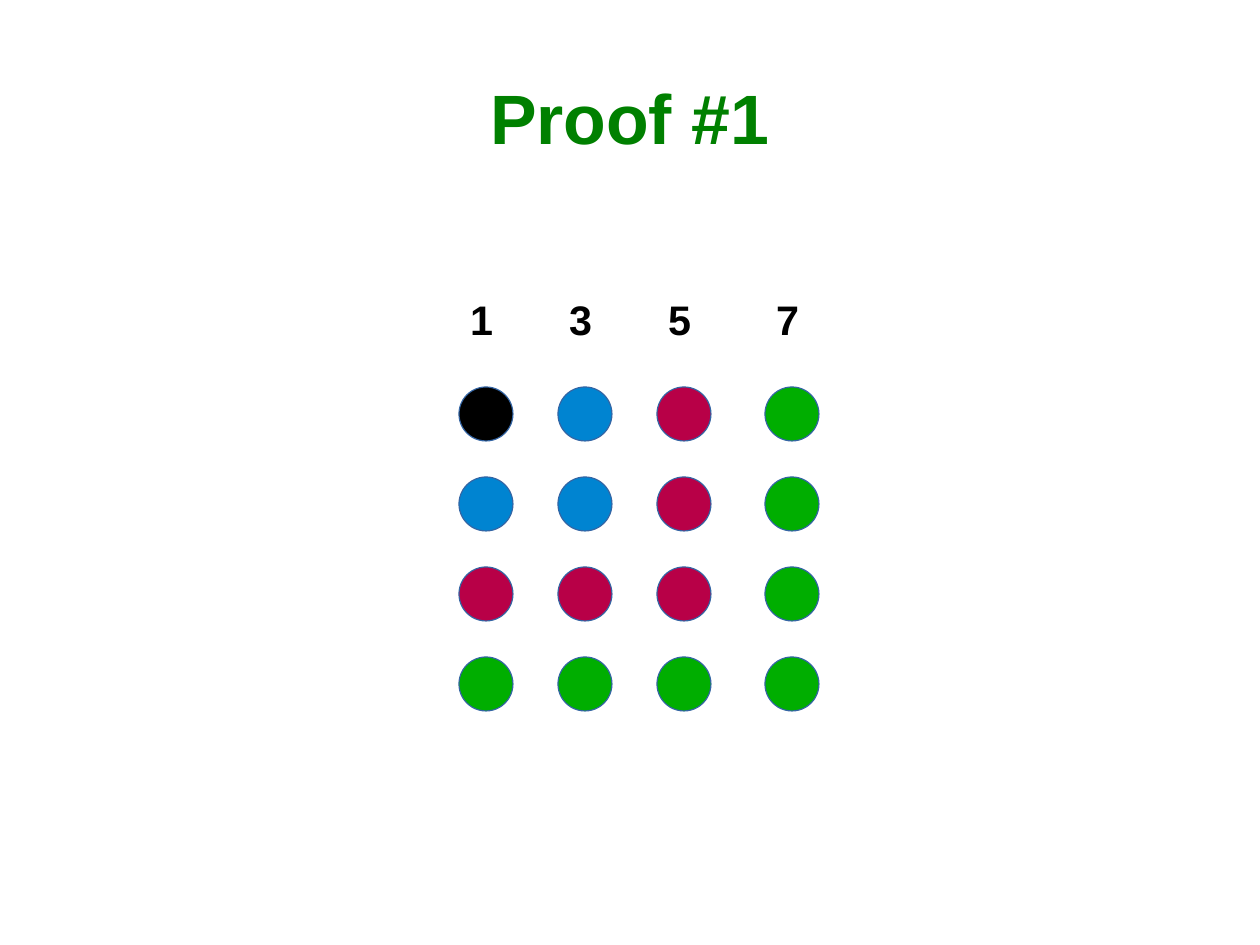
from dataclasses import dataclass

from pptx import Presentation
from pptx.dml.color import RGBColor
from pptx.enum.shapes import MSO_SHAPE
from pptx.enum.text import MSO_ANCHOR, PP_ALIGN
from pptx.util import Cm, Pt


@dataclass(frozen=True)
class Theme:
    font: str = "Arial"
    title: str = "008000"
    label: str = "000000"
    edge: str = "3465A4"
    layers: tuple = ("000000", "0084D1", "B80047", "00AE00")
    title_size: int = 44
    label_size: int = 26


THEME = Theme()
COLUMNS = (10.2, 12.4, 14.6, 17)
TOP, PITCH, DOT = 8.6, 2, 1.2


def add_text(slide, box, text, size, color, pad=(0, 0),
             align=PP_ALIGN.LEFT, anchor=MSO_ANCHOR.TOP):
    frame = slide.shapes.add_textbox(*map(Cm, box)).text_frame
    frame.word_wrap = True
    frame.vertical_anchor = anchor
    frame.margin_left = frame.margin_right = Cm(pad[0])
    frame.margin_top = frame.margin_bottom = Cm(pad[1])
    line = frame.paragraphs[0]
    line.alignment = align
    run = line.add_run()
    run.text = text
    run.font.name = THEME.font
    run.font.size = Pt(size)
    run.font.bold = True
    run.font.color.rgb = RGBColor.from_string(color)


def add_dot(slide, left, top, color):
    dot = slide.shapes.add_shape(
        MSO_SHAPE.OVAL, Cm(left), Cm(top), Cm(DOT), Cm(DOT))
    dot.shadow.inherit = False
    dot.fill.solid()
    dot.fill.fore_color.rgb = RGBColor.from_string(color)
    dot.line.color.rgb = RGBColor.from_string(THEME.edge)
    dot.line.width = Pt(0)


def main():
    deck = Presentation()
    deck.slide_width, deck.slide_height = Cm(28), Cm(21)
    slide = deck.slides.add_slide(deck.slide_layouts[6])
    add_text(slide, (1.4, 0.84, 25.2, 3.51), "Proof #1",
             THEME.title_size, THEME.title,
             align=PP_ALIGN.CENTER, anchor=MSO_ANCHOR.MIDDLE)
    for col, left in enumerate(COLUMNS):
        add_text(slide, (left, 6.4, 1, 1.27), str(2 * col + 1),
                 THEME.label_size, THEME.label, pad=(0.25, 0.13))
        for row in range(len(COLUMNS)):
            add_dot(slide, left, TOP + row * PITCH,
                    THEME.layers[max(row, col)])
    deck.save("out.pptx")


if __name__ == "__main__":
    main()
